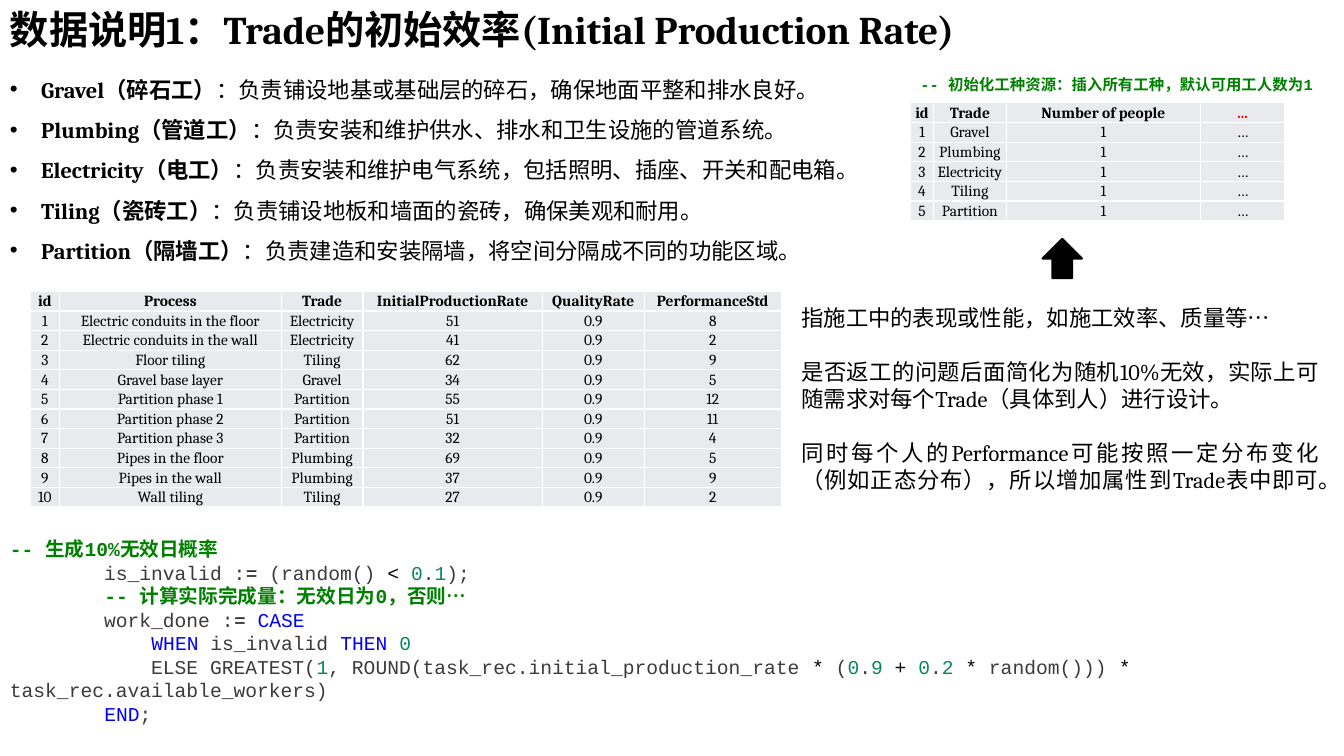
from dataclasses import dataclass
from typing import NamedTuple, Optional, Union

import lxml.etree
import pptx
import pptx.dml.color
import pptx.enum.shapes
import pptx.enum.text
import pptx.oxml.ns
import pptx.slide
import pptx.text.text
import pptx.util

Inches = pptx.util.Inches
Pt = pptx.util.Pt
Align = pptx.enum.text.PP_ALIGN

COLORS = {
    "black": "000000", "white": "FFFFFF", "red": "FF0000", "cell": "E8EAED",
    "comment": "008000", "code": "3B3B3B", "number": "098658", "keyword": "0000FF",
}
SERIF, MONO = "Cambria", "Courier New"


class Run(NamedTuple):
    text: str
    color: str = "black"
    bold: bool = False


@dataclass
class TextBlock:
    left: float
    top: float
    width: float
    height: float
    size: float
    paragraphs: list[list[Run]]
    font: str = SERIF
    align: Optional[Align] = None
    line_spacing: Union[float, pptx.util.Length, None] = None
    gap: float = 0
    bulleted: bool = False


@dataclass
class DataTable:
    left: float
    top: float
    height: float
    columns: list[float]
    rows: list[list[str]]


def rgb(name: str) -> pptx.dml.color.RGBColor:
    return pptx.dml.color.RGBColor.from_string(COLORS[name])


def add_run(paragraph: pptx.text.text._Paragraph, run: Run, font: str, size: float) -> None:
    text_run = paragraph.add_run()
    text_run.text = run.text
    text_run.font.name = font
    text_run.font.size = Pt(size)
    text_run.font.bold = run.bold
    text_run.font.color.rgb = rgb(run.color)


def add_bullet(paragraph: pptx.text.text._Paragraph, indent: float) -> None:
    properties = paragraph._p.get_or_add_pPr()
    properties.set("marL", str(Inches(indent)))
    properties.set("indent", str(-Inches(indent)))
    for tag, name, value in (("a:buFont", "typeface", "Arial"), ("a:buChar", "char", "•")):
        lxml.etree.SubElement(properties, pptx.oxml.ns.qn(tag)).set(name, value)


def add_text(slide: pptx.slide.Slide, block: TextBlock) -> None:
    box = slide.shapes.add_textbox(*map(Inches, (block.left, block.top, block.width, block.height)))
    frame = box.text_frame
    frame.word_wrap = True
    frame.auto_size = pptx.enum.text.MSO_AUTO_SIZE.SHAPE_TO_FIT_TEXT
    for index, runs in enumerate(block.paragraphs):
        paragraph = frame.add_paragraph() if index else frame.paragraphs[0]
        if block.bulleted:
            add_bullet(paragraph, 0.31)
        paragraph.alignment = block.align
        paragraph.line_spacing = block.line_spacing
        if index and block.gap:
            paragraph.space_before = Pt(block.gap)
        for run in runs:
            add_run(paragraph, run, block.font, block.size)


def add_borders(cell: pptx.table._Cell, color: str, width: float) -> None:
    properties = cell._tc.get_or_add_tcPr()
    for index, side in enumerate(("lnL", "lnR", "lnT", "lnB")):
        line = lxml.etree.Element(pptx.oxml.ns.qn(f"a:{side}"), w=str(Pt(width)))
        fill = lxml.etree.SubElement(line, pptx.oxml.ns.qn("a:solidFill"))
        lxml.etree.SubElement(fill, pptx.oxml.ns.qn("a:srgbClr")).set("val", COLORS[color])
        properties.insert(index, line)


def add_data_table(slide: pptx.slide.Slide, data: DataTable) -> None:
    table = slide.shapes.add_table(
        len(data.rows), len(data.columns), Inches(data.left), Inches(data.top),
        Inches(sum(data.columns)), Inches(data.height)).table
    for column, width in zip(table.columns, data.columns):
        column.width = Inches(width)
    for row_index, values in enumerate(data.rows):
        table.rows[row_index].height = Inches(data.height / len(data.rows))
        header = row_index == 0
        for column_index, value in enumerate(values):
            cell = table.cell(row_index, column_index)
            cell.fill.solid()
            cell.fill.fore_color.rgb = rgb("cell")
            add_borders(cell, "white", 1)
            cell.margin_left = cell.margin_right = cell.margin_top = Inches(0.01)
            cell.margin_bottom = 0
            cell.vertical_anchor = pptx.enum.text.MSO_ANCHOR.MIDDLE
            paragraph = cell.text_frame.paragraphs[0]
            paragraph.alignment = Align.CENTER
            color = "red" if header and value == "…" else "black"
            add_run(paragraph, Run(value, color, header), SERIF, 11)


def add_up_arrow(slide: pptx.slide.Slide, left: float, top: float, side: float) -> None:
    arrow = slide.shapes.add_shape(
        pptx.enum.shapes.MSO_SHAPE.RIGHT_ARROW, *map(Inches, (left, top, side, side)))
    arrow.rotation = 270
    arrow.shadow.inherit = False
    arrow.fill.solid()
    arrow.fill.fore_color.rgb = rgb("black")
    arrow.line.color.rgb = rgb("black")
    arrow.line.width = Pt(1.5)


TRADES = [
    ("Gravel", "碎石工", "负责铺设地基或基础层的碎石，确保地面平整和排水良好。"),
    ("Plumbing", "管道工", "负责安装和维护供水、排水和卫生设施的管道系统。"),
    ("Electricity", "电工", "负责安装和维护电气系统，包括照明、插座、开关和配电箱。"),
    ("Tiling", "瓷砖工", "负责铺设地板和墙面的瓷砖，确保美观和耐用。"),
    ("Partition", "隔墙工", "负责建造和安装隔墙，将空间分隔成不同的功能区域。"),
]
PROCESSES = [
    ("Electric conduits in the floor", "Electricity", 51, 8),
    ("Electric conduits in the wall", "Electricity", 41, 2),
    ("Floor tiling", "Tiling", 62, 9),
    ("Gravel base layer", "Gravel", 34, 5),
    ("Partition phase 1", "Partition", 55, 12),
    ("Partition phase 2", "Partition", 51, 11),
    ("Partition phase 3", "Partition", 32, 4),
    ("Pipes in the floor", "Plumbing", 69, 5),
    ("Pipes in the wall", "Plumbing", 37, 9),
    ("Wall tiling", "Tiling", 27, 2),
]
NOTES = [
    "指施工中的表现或性能，如施工效率、质量等…",
    "是否返工的问题后面简化为随机10%无效，实际上可随需求对每个Trade（具体到人）进行设计。",
    "同时每个人的Performance可能按照一定分布变化（例如正态分布），所以增加属性到Trade表中即可。",
]
CODE = [
    [Run("-- 生成10%无效日概率", "comment", True)],
    [Run("        is_invalid :", "code"), Run("="), Run(" (random() ", "code"), Run("< "),
     Run("0", "number"), Run(".", "code"), Run("1", "number"), Run(");", "code")],
    [Run("        ", "code"), Run("-- 计算实际完成量：无效日为0，否则…", "comment", True)],
    [Run("        work_done :", "code"), Run("= "), Run("CASE", "keyword")],
    [Run("            ", "code"), Run("WHEN ", "keyword"), Run("is_invalid ", "code"),
     Run("THEN ", "keyword"), Run("0", "number")],
    [Run("            ELSE GREATEST(", "code"), Run("1", "number"),
     Run(", ROUND(task_rec.initial_production_rate ", "code"), Run("*"), Run(" (", "code"),
     Run("0", "number"), Run(".", "code"), Run("9 ", "number"), Run("+ "),
     Run("0", "number"), Run(".", "code"), Run("2 ", "number"), Run("*"),
     Run(" random())) ", "code"), Run("* "), Run("task_rec.available_workers)", "code")],
    [Run("        ", "code"), Run("END", "keyword"), Run(";", "code")],
]

TEXT_BLOCKS = [
    TextBlock(0, 0, 13.33, 0.57, 28,
              [[Run("数据说明1：Trade的初始效率(Initial Production Rate)", bold=True)]]),
    TextBlock(0, 0.57, 13.33, 2.07, 16,
              [[Run(f"{trade}（{worker}）", bold=True), Run(f"：{duty}")]
               for trade, worker, duty in TRADES],
              align=Align.JUSTIFY, line_spacing=1.5, bulleted=True),
    TextBlock(0, 5.28, 13.33, 1.75, 14, CODE, font=MONO),
    TextBlock(7.85, 2.97, 5.33, 1.99, 16, [[Run(note)] for note in NOTES],
              align=Align.JUSTIFY, gap=19.3),
    TextBlock(9.03, 0.57, 4.3, 0.39, 11,
              [[Run("-- 初始化工种资源：插入所有工种，默认可用工人数为1", "comment", True)]],
              font=MONO, line_spacing=Pt(22.5)),
]
TABLES = [
    DataTable(0.3, 2.89, 2.14, [0.29, 2.2, 0.81, 1.78, 1.01, 1.36],
              [["id", "Process", "Trade", "InitialProductionRate", "QualityRate", "PerformanceStd"]]
              + [[str(number), process, trade, str(rate), "0.9", str(deviation)]
                 for number, (process, trade, rate, deviation) in enumerate(PROCESSES, 1)]),
    DataTable(9.03, 1.02, 1.17, [0.23, 0.72, 1.93, 0.83],
              [["id", "Trade", "Number of people", "…"]]
              + [[str(number), trade[0], "1", "…"] for number, trade in enumerate(TRADES, 1)]),
]


def main() -> None:
    presentation = pptx.Presentation()
    presentation.slide_width, presentation.slide_height = Inches(13.33), Inches(7.5)
    slide = presentation.slides.add_slide(presentation.slide_layouts[6])
    for block in TEXT_BLOCKS:
        add_text(slide, block)
    for data in TABLES:
        add_data_table(slide, data)
    add_up_arrow(slide, 10.34, 2.37, 0.39)
    presentation.save("out.pptx")


if __name__ == "__main__":
    main()
